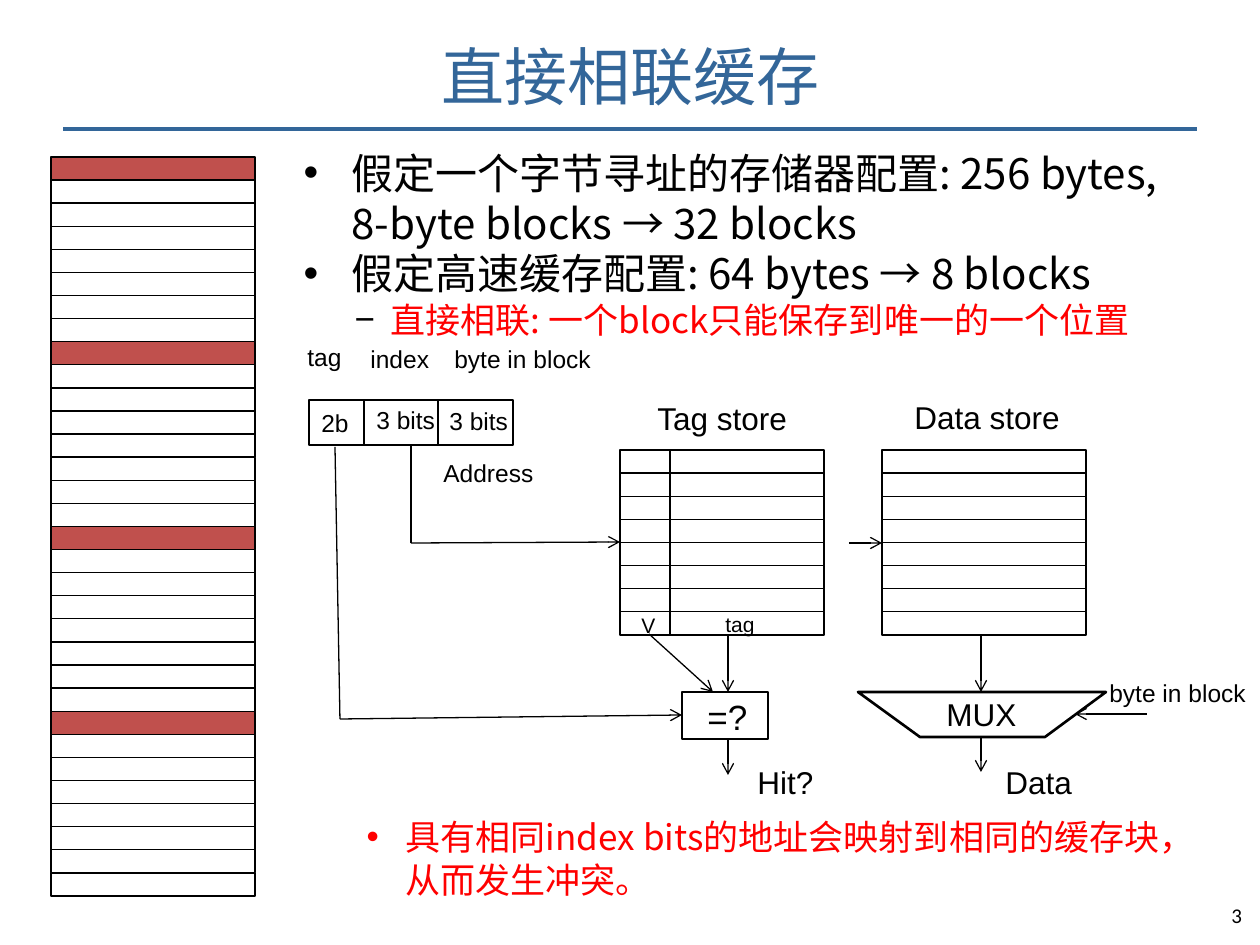
from lxml.etree import SubElement
from pptx import Presentation
from pptx.dml.color import RGBColor
from pptx.enum.shapes import MSO_CONNECTOR as Connector, MSO_SHAPE as Shape
from pptx.enum.text import MSO_ANCHOR as Anchor, MSO_AUTO_SIZE as AutoSize, PP_ALIGN as Align
from pptx.oxml.ns import qn
from pptx.util import Emu, Pt

SCALE = 914400 / 126
COLORS = {"ink": "000000", "title": "336699", "block": "C0504D", "alert": "FF0000"}
CJK_FONT = "Noto Sans CJK SC"


def px(length):
    """Turn px into EMU."""
    return Emu(round(length * SCALE))


def color(name):
    """Look up a named colour."""
    return RGBColor.from_string(COLORS[name])


def write(paragraph, text, size=14, font="Arial", ink="ink", align=None, east_asian=None):
    """Put one formatted run in a paragraph."""
    run = paragraph.add_run()
    run.text = text
    run.font.size = Pt(size)
    run.font.name = font
    run.font.color.rgb = color(ink)
    if align is not None:
        paragraph.alignment = align
    if east_asian:
        SubElement(run.font._element, qn("a:ea"), typeface=east_asian)


def place(element, left, top, width, height):
    """Move and size a placeholder."""
    element.left, element.top = px(left), px(top)
    element.width, element.height = px(width), px(height)


def style_outline(outline, weight=0.75, fill=None):
    """Give a shape its black outline and optional fill."""
    outline.shadow.inherit = False
    outline.line.color.rgb = color("ink")
    outline.line.width = Pt(weight)
    if fill:
        outline.fill.solid()
        outline.fill.fore_color.rgb = color(fill)
    else:
        outline.fill.background()


def add_box(shapes, left, top, width, height, fill=None):
    """Add an outlined rectangle."""
    box = shapes.add_shape(Shape.RECTANGLE, px(left), px(top), px(width), px(height))
    style_outline(box, fill=fill)


def add_stack(slide, left, top, height, rows, filled_every=None):
    """Add a group of equal memory rows."""
    stack = slide.shapes.add_group_shape()
    row_height = height / rows
    for row in range(rows):
        filled = filled_every and row % filled_every == 0
        add_box(stack.shapes, left, top + row * row_height, 204, row_height,
                "block" if filled else None)


def add_label(slide, text, left, top, width, height, **text_format):
    """Add a single-line label."""
    label = slide.shapes.add_textbox(px(left), px(top), px(width), px(height))
    label.text_frame.word_wrap = False
    write(label.text_frame.paragraphs[0], text, **text_format)


def add_line(slide, start, end, arrow=False, ink="ink", weight=0.75):
    """Add a straight line with an optional arrowhead."""
    line = slide.shapes.add_connector(Connector.STRAIGHT, *map(px, start + end))
    line.line.color.rgb = color(ink)
    line.line.width = Pt(weight)
    if arrow:
        SubElement(line.line._get_or_add_ln(), qn("a:tailEnd"), type="arrow")
    SubElement(line._element.spPr, qn("a:effectLst"))


def add_bullet(paragraph, text, mark, margin, hang, leading, level=0, before=0, mark_ink=None,
               **text_format):
    """Fill a paragraph as a bulleted item."""
    paragraph.level = level
    properties = paragraph._p.get_or_add_pPr()
    properties.set("marL", str(px(margin)))
    properties.set("indent", str(-px(hang)))
    if mark_ink:
        mark_color = SubElement(properties, qn("a:buClr"))
        SubElement(mark_color, qn("a:srgbClr"), val=COLORS[mark_ink])
    SubElement(properties, qn("a:buFont"), typeface="Arial")
    SubElement(properties, qn("a:buChar"), char=mark)
    paragraph.line_spacing = Pt(leading)
    paragraph.space_before = Pt(before)
    paragraph.space_after = Pt(0)
    write(paragraph, text, font=CJK_FONT, east_asian=CJK_FONT, **text_format)


def add_title(slide):
    """Fill the title and rule it off."""
    title = slide.shapes.title
    place(title, 0, 21, 1260, 108)
    title.text_frame.vertical_anchor = Anchor.MIDDLE
    write(title.text_frame.paragraphs[0], "直接相联缓存", size=36, font="Calibri",
          ink="title", align=Align.CENTER)
    add_line(slide, (63, 129), (1197, 129), ink="title", weight=2)


def add_points(slide):
    """Fill the body with the assumptions and the conclusion."""
    body = slide.placeholders[1]
    place(body, 291, 136, 917, 789)
    frame = body.text_frame
    frame.auto_size = AutoSize.NONE
    frame.margin_top = px(11)
    main_point = dict(mark="•", margin=48, hang=48, leading=28.8, size=24)
    consequence = dict(level=1, leading=24.4, size=20, ink="alert")
    points = [
        ("假定一个字节寻址的存储器配置: 256 bytes, 8-byte blocks → 32 blocks", main_point),
        ("假定高速缓存配置: 64 bytes → 8 blocks", main_point),
        ("直接相联: 一个block只能保存到唯一的一个位置",
         dict(consequence, mark="−", margin=87, hang=36, mark_ink="ink")),
        ("具有相同index bits的地址会映射到相同的缓存块，从而发生冲突。",
         dict(consequence, mark="•", margin=102, hang=39, before=271)),
    ]
    for index, (text, point_format) in enumerate(points):
        paragraph = frame.add_paragraph() if index else frame.paragraphs[0]
        add_bullet(paragraph, text, **point_format)


def add_address(slide):
    """Draw the address with its three fields."""
    add_box(slide.shapes, 309, 400, 204, 45)
    for divider in (364, 438):
        add_line(slide, (divider, 400), (divider, 445))
    for text, left, top, width in (
        ("tag", 295, 336, 59), ("index", 358, 338, 84), ("byte in block", 442, 338, 163),
        ("2b", 309, 402, 53), ("3 bits", 364, 399, 84), ("3 bits", 437, 400, 84),
        ("Address", 431, 452, 116), ("byte in block", 1097, 672, 163),
    ):
        add_label(slide, text, left, top, width, 43)


def add_cache(slide):
    """Draw the stores, the comparator and the multiplexer."""
    for left in (620, 882):
        add_stack(slide, left, 450, 185, 8)
    add_line(slide, (670, 450), (670, 635))
    add_box(slide.shapes, 682, 692, 86, 47)
    mux = slide.shapes.build_freeform(1106, 692, scale=SCALE)
    mux.add_line_segments([(1045, 737), (920, 737), (858, 692)], close=True)
    style_outline(mux.convert_to_shape(), weight=1.5)
    for text, left, top, width, height, size in (
        ("Tag store", 645, 393, 156, 50, 18), ("Data store", 902, 392, 173, 50, 18),
        ("V", 629, 606, 39, 38, 12), ("tag", 713, 605, 55, 38, 12),
        ("=?", 695, 689, 66, 55, 20), ("MUX", 934, 689, 96, 50, 18),
        ("Hit?", 745, 757, 82, 50, 18), ("Data", 993, 757, 92, 50, 18),
    ):
        add_label(slide, text, left, top, width, height, size=size)


def add_signals(slide):
    """Connect the address fields, stores and outputs."""
    for start, end in (((411, 445), (411, 543)), ((335, 447), (340, 719))):
        add_line(slide, start, end)
    for start, end in (
        ((411, 543), (620, 542)), ((340, 719), (682, 715)), ((849, 543), (882, 543)),
        ((728, 635), (728, 692)), ((649, 634), (713, 692)), ((981, 635), (981, 692)),
        ((1147, 714), (1075, 714)), ((728, 739), (728, 775)), ((981, 737), (981, 772)),
    ):
        add_line(slide, start, end, arrow=True)


def add_page_number(slide):
    """Add the page number in the corner."""
    corner = slide.shapes.add_textbox(px(1197), px(895), px(59), px(29))
    frame = corner.text_frame
    frame.word_wrap = True
    frame.margin_left = frame.margin_right = px(14)
    frame.margin_top = frame.margin_bottom = px(8)
    write(frame.paragraphs[0], "3", size=12, font="Calibri", align=Align.RIGHT)


def main():
    """Build the slide on the direct-mapped cache."""
    deck = Presentation()
    deck.slide_width, deck.slide_height = px(1260), px(945)
    slide = deck.slides.add_slide(deck.slide_layouts[1])
    add_title(slide)
    add_points(slide)
    add_stack(slide, 51, 157, 739, 32, filled_every=8)
    add_address(slide)
    add_cache(slide)
    add_signals(slide)
    add_page_number(slide)
    deck.save("out.pptx")


if __name__ == "__main__":
    main()
